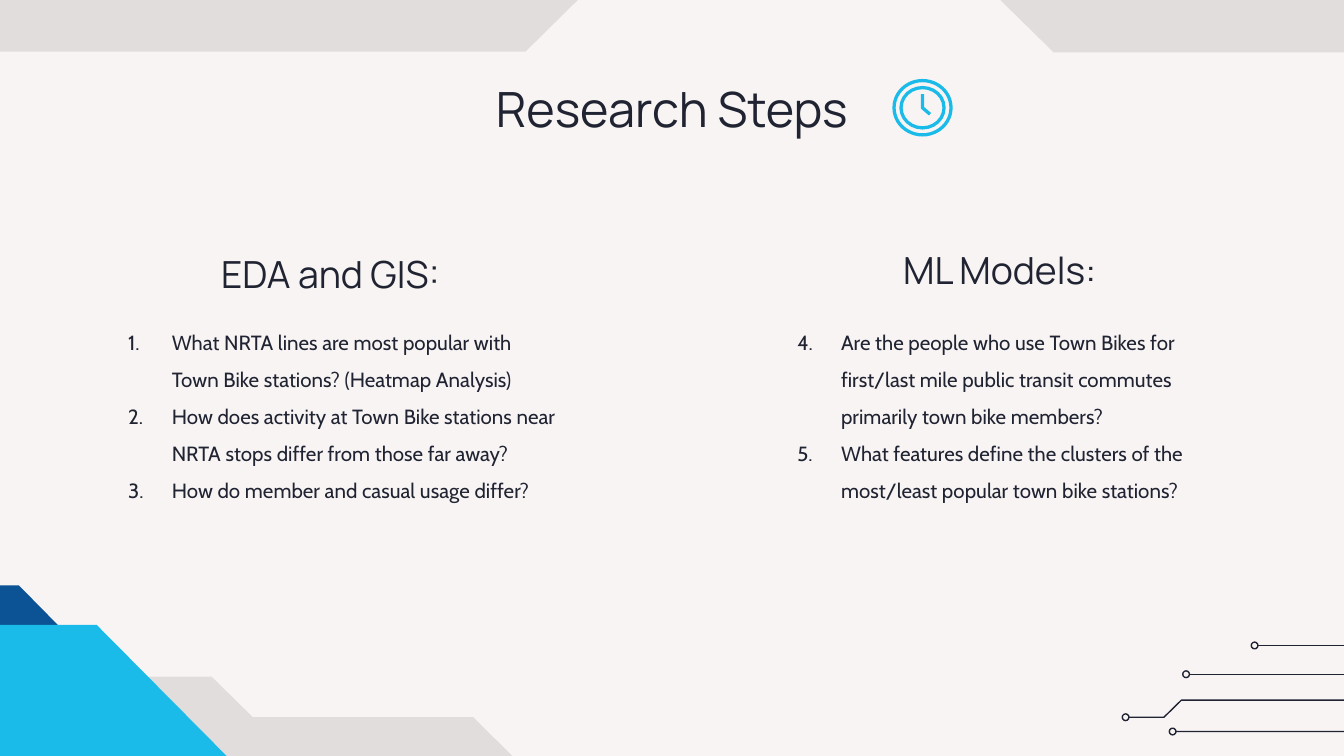
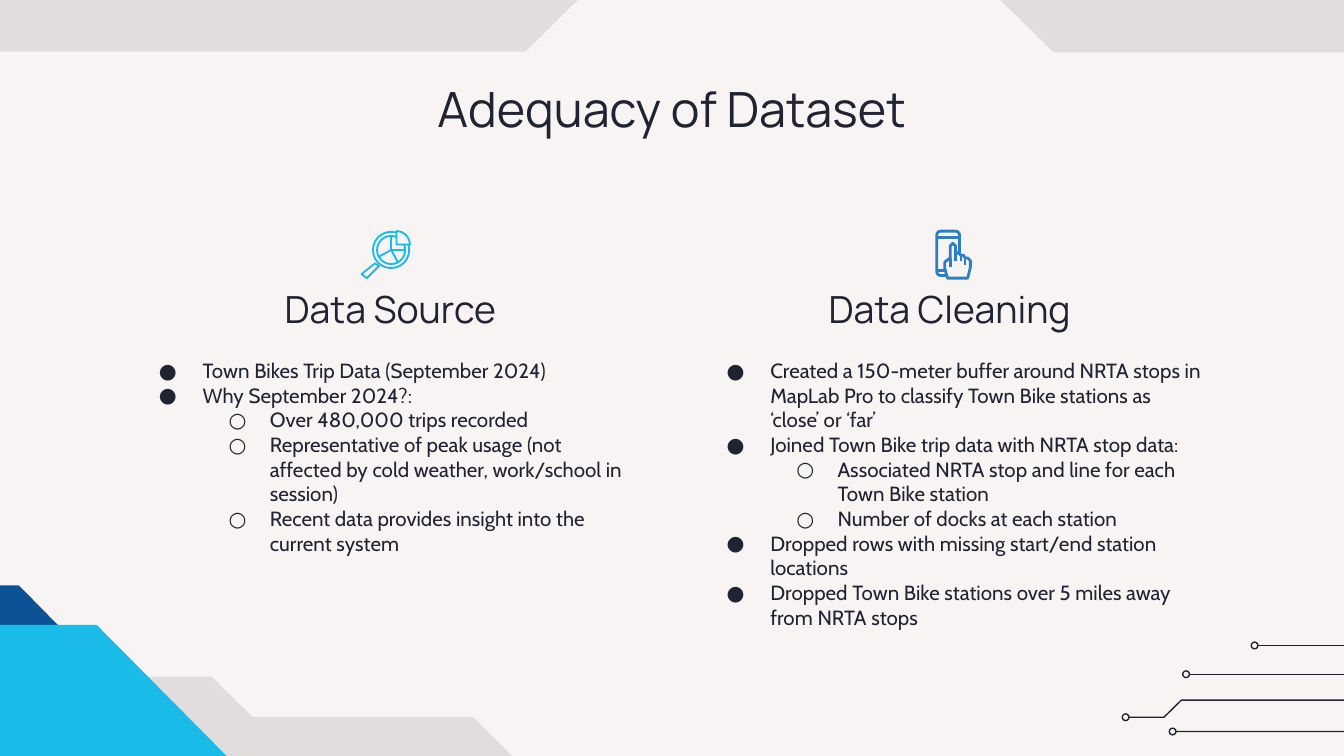
from math import cos, pi, sin

from lxml.etree import SubElement
from pptx import Presentation
from pptx.dml.color import RGBColor
from pptx.enum.shapes import MSO_CONNECTOR, MSO_SHAPE
from pptx.enum.text import MSO_ANCHOR as ANCHOR, PP_ALIGN as ALIGN
from pptx.oxml.ns import qn
from pptx.util import Inches, Pt

COLORS = {
    "paper": "F8F4F4",
    "shade": "000000",
    "ink": "202331",
    "navy": "0B5394",
    "cyan": "1BBBE9",
    "blue": "2C7EC7",
}
RGB = {name: RGBColor.from_string(code) for name, code in COLORS.items()}

prs = Presentation()
prs.slide_width, prs.slide_height = Inches(10), Inches(5.625)
COLUMNS = 100
CELL = prs.slide_width // COLUMNS  # the grid is square


def draw(slide, points, fill=None, line=None, width=0.75, preset=None, closed=False):
    """Draw through grid points; with a preset, they are two opposite corners."""
    spots = [(round(x * CELL), round(y * CELL)) for x, y in points]
    (x0, y0), (x1, y1) = spots[:2]
    if preset:
        shape = slide.shapes.add_shape(preset, x0, y0, x1 - x0, y1 - y0)
    elif len(spots) == 2:
        shape = slide.shapes.add_connector(MSO_CONNECTOR.STRAIGHT, x0, y0, x1, y1)
    else:
        builder = slide.shapes.build_freeform(x0, y0)
        builder.add_line_segments(spots[1:], close=closed)
        shape = builder.convert_to_shape()
    if line:
        shape.line.color.rgb = RGB[line]
        shape.line.width = Pt(width)
    else:
        shape.line.fill.background()
    if len(spots) == 2 and not preset:
        SubElement(shape.element.spPr, qn("a:effectLst"))
        return
    shape.shadow.inherit = False
    if not fill:
        shape.fill.background()
        return
    shape.fill.solid()
    shape.fill.fore_color.rgb = RGB[fill]
    if fill == "shade":
        color = shape.element.spPr.find(qn("a:solidFill"))[0]
        SubElement(color, qn("a:alpha"), val="9000")


def write(slide, box, items, size, font="Manrope", anchor=ANCHOR.TOP, spacing=1, start=None):
    """Write a centred heading (a string) or a list of (level, text) items."""
    frame = slide.shapes.add_textbox(*(round(v * CELL) for v in box)).text_frame
    frame.word_wrap = True
    frame.vertical_anchor = anchor
    frame.margin_left = frame.margin_right = CELL
    frame.margin_top = frame.margin_bottom = CELL
    heading = isinstance(items, str)
    for i, (level, text) in enumerate([(0, items)] if heading else items):
        paragraph = frame.add_paragraph() if i else frame.paragraphs[0]
        paragraph.text = text
        paragraph.level = level
        paragraph.line_spacing = spacing
        paragraph.alignment = ALIGN.CENTER if heading else ALIGN.LEFT
        if not heading:
            props = paragraph._p.get_or_add_pPr()
            props.set("marL", str(5 * (level + 1) * CELL))
            props.set("indent", str(round((-3.25, -3.06)[level] * CELL)))
            SubElement(SubElement(props, qn("a:buClr")), qn("a:srgbClr"), val=COLORS["ink"])
            if start:
                SubElement(props, qn("a:buAutoNum"), type="arabicPeriod", startAt=str(start))
            else:
                SubElement(props, qn("a:buFont"), typeface="Manrope")
                SubElement(props, qn("a:buChar"), char="●○"[level])
        paragraph.font.size = Pt(size)
        paragraph.font.name = font
        paragraph.font.color.rgb = RGB["ink"]


# Shared look: background, corner bands and circuit lines that bleed off, title
background = prs.slide_master.background.fill
background.solid()
background.fore_color.rgb = RGB["paper"]

BANDS = [
    ("shade", [(-7.7, 50.35), (-7.7, 83.4), (48.2, 83.4), (48.2, 59.2), (41.1, 59.2),
               (35.2, 53.35), (18.8, 53.35), (15.75, 50.35)]),
    ("shade", [(78.4, 3.9), (67.1, -7.2), (50.3, -7.2), (39.1, 3.85), (-2.2, 3.85),
               (-2.2, -16.7), (100.1, -16.7), (100.1, 3.9)]),
    ("navy", [(-11.2, 43.55), (-8.3, 46.5), (4.3, 46.5), (1.4, 43.55)]),
    ("cyan", [(7.2, 46.5), (18.3, 57.7), (21.6, 57.7), (21.6, 63.3), (-9.1, 63.3), (-9.1, 46.5)]),
]
CIRCUITS = [
    [(87.5, 54.43), (101.4, 54.43), (102.3, 55.3), (120.6, 55.3)],
    [(88.5, 50.17), (105.2, 50.17)],
    [(84, 53.37), (86.6, 53.37), (87.9, 52.1), (100.5, 52.1)],
    [(93.6, 48.03), (126.1, 48.03)],
]
NODE = 0.5

slides = []
for title in ("Research Steps", "Adequacy of Dataset"):
    slide = prs.slides.add_slide(prs.slide_layouts[6])
    for color, corners in BANDS:
        draw(slide, corners, fill=color, closed=True)
    for wire in CIRCUITS:
        x, y = wire[0]
        draw(slide, wire, line="ink")
        draw(slide, [(x - NODE, y - NODE / 2), (x, y + NODE / 2)], line="ink", preset=MSO_SHAPE.OVAL)
    write(slide, (7.85, 4.9, 84.3, 6.3), title, 26)
    slides.append(slide)
steps, dataset = slides

# Research steps
QUESTIONS = [
    (6.8, 16.9, "EDA and GIS:", 1, [
        "What NRTA lines are most popular with Town Bike stations? (Heatmap Analysis)",
        "How does activity at Town Bike stations near NRTA stops differ from those far away?",
        "How do member and casual usage differ?",
    ]),
    (56.6, 16.6, "ML Models:", 4, [
        "Are the people who use Town Bikes for first/last mile public transit commutes "
        "primarily town bike members?",
        "What features define the clusters of the most/least popular town bike stations?",
    ]),
]
for left, top, heading, first, questions in QUESTIONS:
    write(steps, (left, 22.65, 35.6, 17.7), [(0, q) for q in questions], 11, "Cabin",
          spacing=1.5, start=first)
    write(steps, (left, top, 35.6, 6.1), heading, 20, anchor=ANCHOR.BOTTOM)

clock_x, clock_y = 68.64, 8.02
for rx, ry in ((2.12, 2.02), (1.6, 1.5)):
    draw(steps, [(clock_x - rx, clock_y - ry), (clock_x + rx, clock_y + ry)],
         line="cyan", width=1.75, preset=MSO_SHAPE.OVAL)
draw(steps, [(clock_x, 7), (clock_x, clock_y), (69.2, 8.5)], line="cyan", width=1.75)

# Adequacy of dataset
FINDINGS = [
    (9.1, 15.2, "Data Source", [
        (0, "Town Bikes Trip Data (September 2024)"),
        (0, "Why September 2024?:"),
        (1, "Over 480,000 trips recorded"),
        (1, "Representative of peak usage (not affected by cold weather, work/school in session)"),
        (1, "Recent data provides insight into the current system"),
    ]),
    (51.34, 57.1, "Data Cleaning ", [
        (0, "Created a 150-meter buffer around NRTA stops in MapLab Pro to classify "
            "Town Bike stations as ‘close’ or ‘far’"),
        (0, "Joined Town Bike trip data with NRTA stop data:"),
        (1, "Associated NRTA stop and line for each Town Bike station"),
        (1, "Number of docks at each station"),
        (0, "Dropped rows with missing start/end station locations"),
        (0, "Dropped Town Bike stations over 5 miles away from NRTA stops"),
    ]),
]
for list_left, heading_left, heading, findings in FINDINGS:
    write(dataset, (list_left, 25.64, 39.3, 27.3), findings, 11, "Cabin")
    write(dataset, (heading_left, 18.5, 27.7, 7.1), heading, 20, anchor=ANCHOR.BOTTOM)

# Magnifier over a pie chart
lens_x, lens_y = 29.1, 18.6
for r in (1.35, 1.05):
    draw(dataset, [(lens_x - r, lens_y - r), (lens_x + r, lens_y + r)],
         line="cyan", width=1, preset=MSO_SHAPE.OVAL)
for rim in ((29.1, 17.6), (30.1, 18.6), (29.6, 19.5), (28.2, 19.1)):
    draw(dataset, [(lens_x, lens_y), rim], line="cyan", width=1)
arc = [(29.5 + cos(i * pi / 16), 18.2 - sin(i * pi / 16)) for i in range(9)]
draw(dataset, [(29.5, 18.2), *arc], fill="paper", line="cyan", width=1, closed=True)
draw(dataset, [(27.9, 19.6), (26.9, 20.4), (27.3, 20.7), (28.2, 19.8)],
     line="cyan", width=1, closed=True)

# Hand tapping a phone
draw(dataset, [(69.7, 17.2), (71.4, 20.5)], line="blue", width=1.5, preset=MSO_SHAPE.ROUNDED_RECTANGLE)
for y in (17.7, 20.1):
    draw(dataset, [(69.7, y), (71.4, y)], line="blue", width=1.5)
hand = [(70.5, 20.7), (70.3, 20), (70.3, 19.5), (70.7, 19.2), (70.7, 18.3), (70.9, 18.1),
        (71.1, 18.3), (71.1, 18.9), (71.3, 18.8), (71.5, 19), (71.7, 19), (71.8, 19.2),
        (72, 19.2), (72.2, 19.4), (72.2, 19.9), (72, 20.7)]
draw(dataset, hand, fill="paper", line="blue", width=1.5, closed=True)
for x, top, bottom in ((70.7, 19.2, 19.9), (71.1, 18.9, 19.4), (71.5, 19, 19.4), (71.8, 19.2, 19.7)):
    draw(dataset, [(x, top), (x, bottom)], line="blue", width=1.5)

prs.save("out.pptx")
